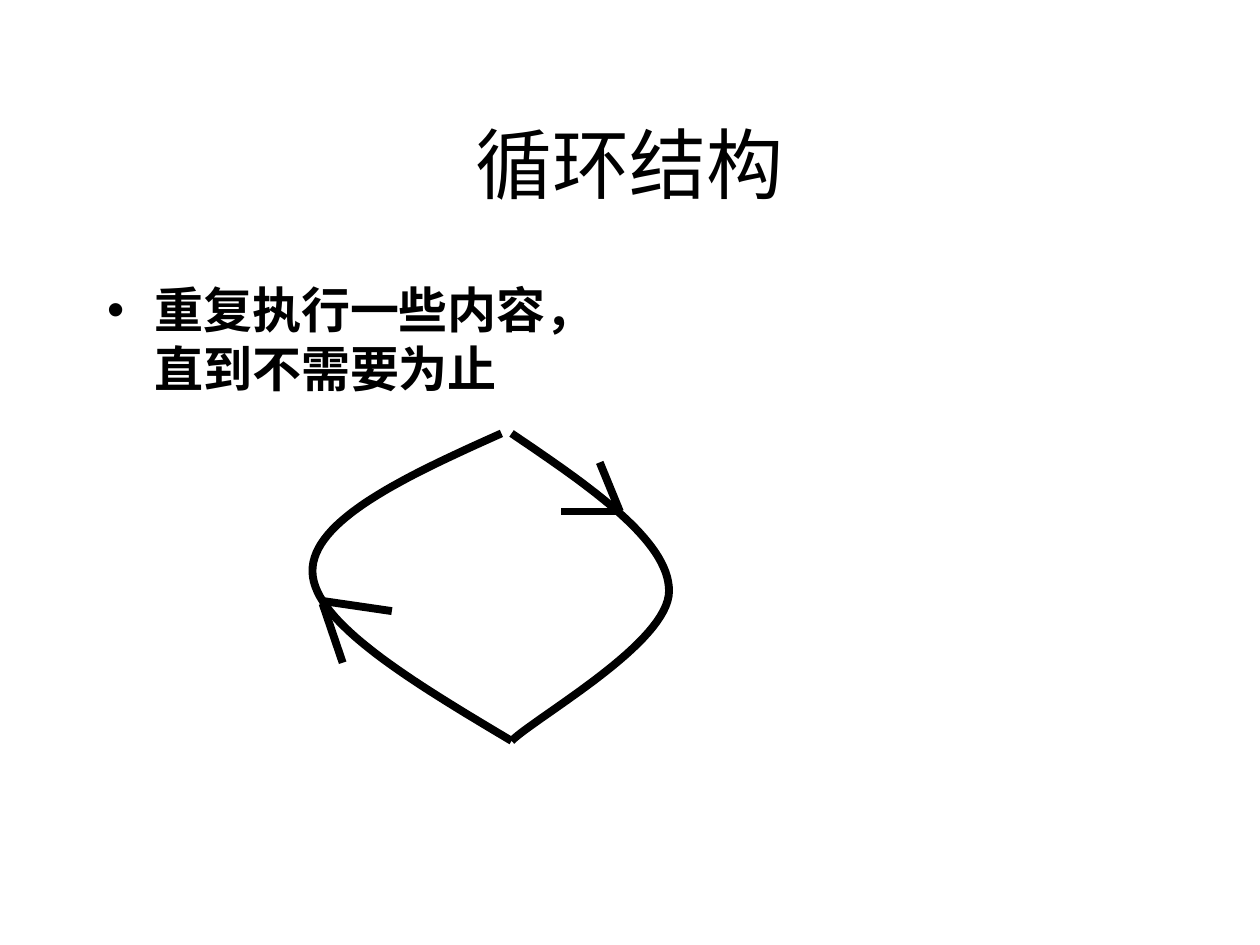
from dataclasses import dataclass

from lxml import etree
from pptx import Presentation
from pptx.dml.color import RGBColor
from pptx.enum.shapes import MSO_CONNECTOR
from pptx.enum.text import MSO_ANCHOR, MSO_AUTO_SIZE, PP_ALIGN
from pptx.oxml.ns import qn
from pptx.util import Inches, Pt

STRAIGHT = MSO_CONNECTOR.STRAIGHT
TOP, MIDDLE = MSO_ANCHOR.TOP, MSO_ANCHOR.MIDDLE
LEFT, CENTER = PP_ALIGN.LEFT, PP_ALIGN.CENTER
NO_FIT = MSO_AUTO_SIZE.NONE
CURVE_STEPS = 32


@dataclass(frozen=True)
class Theme:
    ink: RGBColor = RGBColor(0, 0, 0)
    font: str = "Times New Roman"
    title: Pt = Pt(44)
    body: Pt = Pt(28)
    stroke: Pt = Pt(4.5)


THEME = Theme()

LOOP_ARCS = [
    [(4.06, 3.44), (4.68, 3.86), (5.31, 4.29), (5.31, 4.69),
     (5.31, 5.1), (4.27, 5.68), (4.06, 5.88)],
    [(4.06, 5.88), (3.27, 5.41), (2.49, 4.94), (2.48, 4.54),
     (2.47, 4.13), (3.22, 3.78), (3.98, 3.44)],
]
ARROW_BARBS = [
    [(4.76, 3.67), (4.92, 4.06)],
    [(4.92, 4.06), (4.45, 4.06)],
    [(2.56, 4.79), (2.72, 5.26)],
    [(2.56, 4.77), (3.11, 4.85)],
]


def apply(target, values):
    for name, value in values.items():
        setattr(target, name, value)


def fill_placeholder(sp, text, box, size, bold, align, anchor):
    apply(sp, dict(zip(("left", "top", "width", "height"), map(Inches, box))))
    tf = sp.text_frame
    apply(tf, {"text": text, "word_wrap": True, "auto_size": NO_FIT,
               "vertical_anchor": anchor})
    p = tf.paragraphs[0]
    apply(p, {"alignment": align, "space_before": Pt(0)})
    font = p.runs[0].font
    apply(font, {"name": THEME.font, "size": size, "bold": bold})
    font.color.rgb = THEME.ink


def style_line(sp):
    sp.line.color.rgb = THEME.ink
    sp.line.width = THEME.stroke


def bezier(p0, p1, p2, p3):
    for i in range(1, CURVE_STEPS + 1):
        t = i / CURVE_STEPS
        u = 1 - t
        yield tuple(Inches(u**3 * a + 3 * u * u * t * b + 3 * u * t * t * c + t**3 * d)
                    for a, b, c, d in zip(p0, p1, p2, p3))


def add_arc(shapes, knots):
    builder = shapes.build_freeform(*map(Inches, knots[0]))
    points = [pt for i in (0, 3) for pt in bezier(*knots[i:i + 4])]
    builder.add_line_segments(points, close=False)
    sp = builder.convert_to_shape()
    sp.shadow.inherit = False
    sp.fill.background()
    style_line(sp)


def add_barb(shapes, start, end):
    sp = shapes.add_connector(STRAIGHT, *map(Inches, start + end))
    style_line(sp)
    etree.SubElement(sp._element.spPr, qn("a:effectLst"))


def main():
    prs = Presentation()
    apply(prs, {"slide_width": Inches(10), "slide_height": Inches(7.5)})
    s = prs.slides.add_slide(prs.slide_layouts[1])
    fill_placeholder(s.shapes.title, "循环结构", (0.75, 0.67, 8.5, 1.25),
                     THEME.title, False, CENTER, MIDDLE)
    fill_placeholder(s.placeholders[1], "重复执行一些内容，直到不需要为止",
                     (0.75, 2.17, 4.17, 4.5), THEME.body, True, LEFT, TOP)
    loop = s.shapes.add_group_shape().shapes
    for knots in LOOP_ARCS:
        add_arc(loop, knots)
    for start, end in ARROW_BARBS:
        add_barb(loop, start, end)
    prs.save("out.pptx")


if __name__ == "__main__":
    main()
